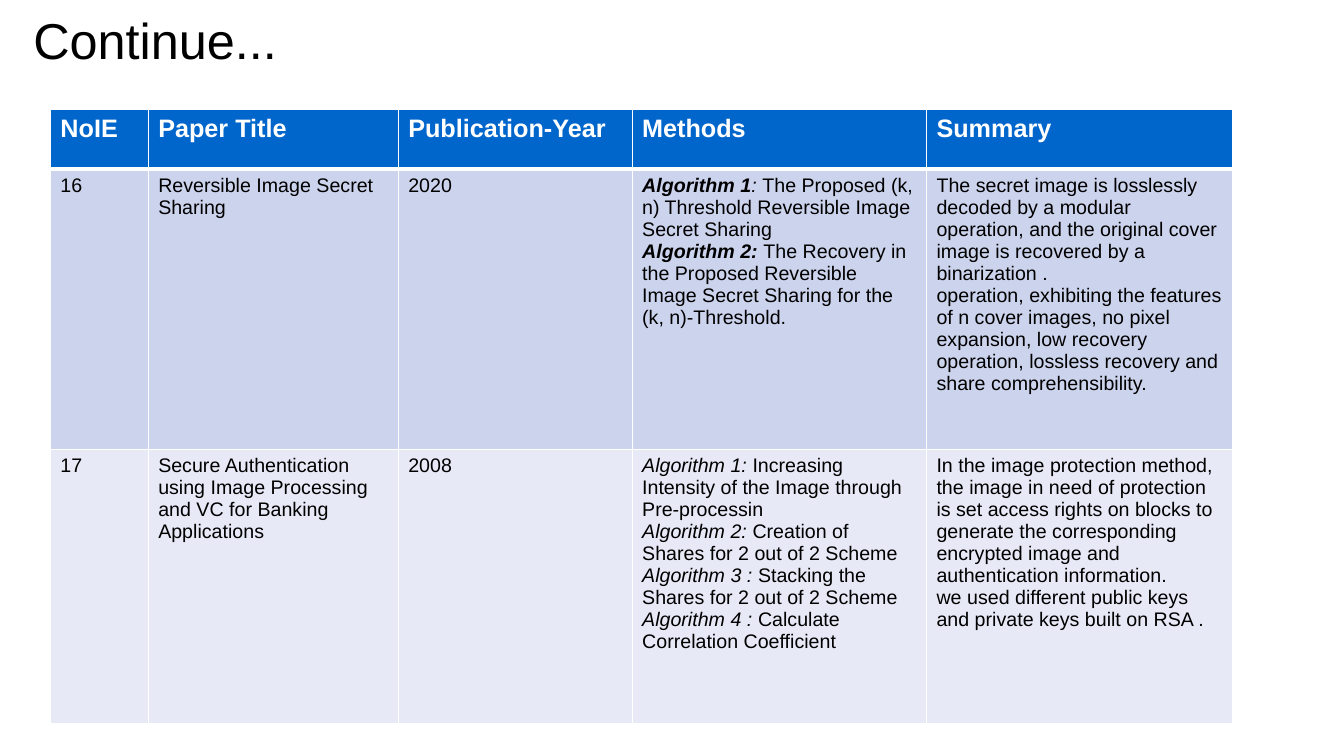
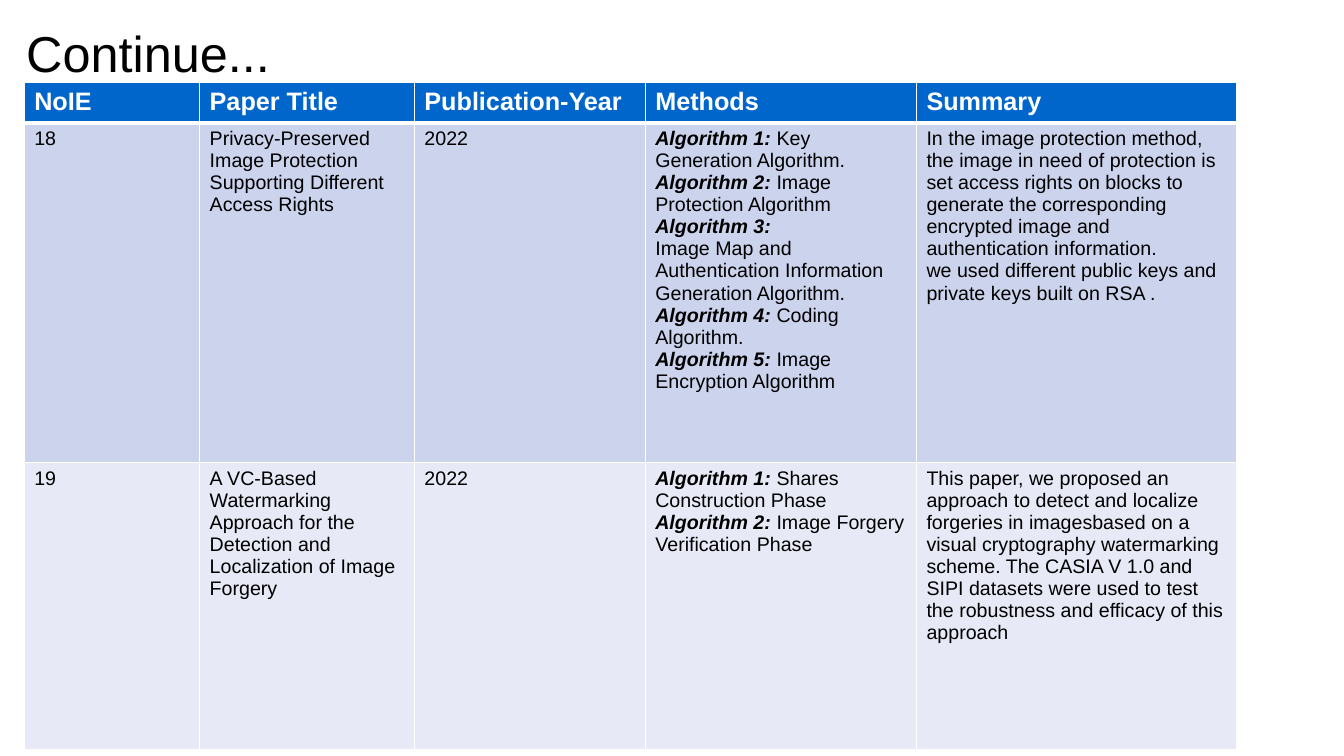
from lxml import etree
from pptx import Presentation
from pptx.dml.color import RGBColor
from pptx.enum.text import MSO_ANCHOR, MSO_AUTO_SIZE, PP_ALIGN
from pptx.oxml.ns import qn
from pptx.util import Inches, Pt

LEFT = PP_ALIGN.LEFT
MIDDLE = MSO_ANCHOR.MIDDLE
NO_FIT = MSO_AUTO_SIZE.NONE
FONT = "Arial"
COLORS = {"head": "0066CC", "odd": "CCD3EC", "even": "E7EAF6", "text": "000000", "white": "FFFFFF"}
BANDS = ["head", "odd", "even"]
HEADS = ["NoIE", "Paper Title", "Publication-Year", "Methods", "Summary"]
BOLD, SLANT = "bi", "i"

RIGHTS = [
    "In the image protection method, the image in need of protection is set access rights on blocks "
    "to generate the corresponding encrypted image and authentication information.",
    "we used different public keys and private keys built on RSA .",
]

SLIDES = [
    {
        "title": (0.23, 0, 10.29, 0.79),
        "place": (0.5, 1.09),
        "cols": [0.97, 2.48, 2.32, 2.92, 3.04],
        "rows": [0.59, 2.78, 2.72],
        "papers": [
            ["16", "Reversible Image Secret Sharing", "2020", [
                [("Algorithm 1", BOLD), (": ", SLANT),
                 ("The Proposed (k, n) Threshold Reversible Image Secret Sharing", "")],
                [("Algorithm 2: ", BOLD),
                 ("The Recovery in the Proposed Reversible Image Secret Sharing for the (k, n)-Threshold.", "")],
            ], [
                "The secret image is losslessly decoded by a modular operation, and the original cover "
                "image is recovered by a binarization .",
                "operation, exhibiting the features of n cover images, no pixel expansion, low recovery "
                "operation, lossless recovery and share comprehensibility.",
            ]],
            ["17", "Secure Authentication using Image Processing and VC for Banking Applications", "2008", [
                [("Algorithm 1: ", SLANT), ("Increasing Intensity of the Image through Pre-processin", "")],
                [("Algorithm 2: ", SLANT), ("Creation of Shares for 2 out of 2 Scheme", "")],
                [("Algorithm 3 : ", SLANT), ("Stacking the Shares for 2 out of 2 Scheme", "")],
                [("Algorithm 4 : ", SLANT), ("Calculate Correlation Coefficient", "")],
            ], RIGHTS],
        ],
    },
    {
        "title": (0.16, 0, 10.29, 1.03),
        "place": (0.24, 0.82),
        "cols": [1.74, 2.13, 2.29, 2.69, 3.18],
        "rows": [0.4, 3.37, 2.85],
        "papers": [
            ["18", "Privacy-Preserved Image Protection Supporting Different Access Rights", "2022", [
                [("Algorithm 1:", BOLD), (" Key Generation Algorithm.", "")],
                [("Algorithm 2: ", BOLD), ("Image Protection Algorithm", "")],
                [("Algorithm 3:", BOLD)],
                "Image Map and Authentication Information Generation Algorithm.",
                [("Algorithm 4:", BOLD), (" Coding Algorithm.", "")],
                [("Algorithm 5: ", BOLD), ("Image Encryption Algorithm", "")],
            ], RIGHTS],
            ["19", "A VC-Based Watermarking Approach for the Detection and Localization of Image Forgery", "2022", [
                [("Algorithm 1: ", BOLD), ("Shares Construction Phase", "")],
                [("Algorithm 2: ", BOLD), ("Image Forgery Verification Phase", "")],
            ], "This paper, we proposed an approach to detect and localize forgeries in imagesbased on a "
               "visual cryptography watermarking scheme. The CASIA V 1.0 and SIPI datasets were used to "
               "test the robustness and efficacy of this approach"],
        ],
    },
]


def write(frame, paras, size, color, bold=False):
    if isinstance(paras, str):
        paras = [paras]
    for n, parts in enumerate(paras):
        para = frame.add_paragraph() if n else frame.paragraphs[0]
        para.alignment = LEFT
        if isinstance(parts, str):
            parts = [(parts, "")]
        for text, style in parts:
            run = para.add_run()
            run.text = text
            font = run.font
            font.name, font.size = FONT, Pt(size)
            font.bold = bold or "b" in style
            font.italic = "i" in style
            font.color.rgb = RGBColor.from_string(COLORS[color])


def style_cell(cell, fill, top, bottom):
    cell.fill.solid()
    cell.fill.fore_color.rgb = RGBColor.from_string(COLORS[fill])
    props = cell._tc.get_or_add_tcPr()
    sides = [("a:lnL", 1), ("a:lnR", 1), ("a:lnT", top), ("a:lnB", bottom)]
    for n, (tag, width) in enumerate(sides):
        line = etree.Element(qn(tag), w=str(Pt(width)))
        solid = etree.SubElement(line, qn("a:solidFill"))
        etree.SubElement(solid, qn("a:srgbClr"), val=COLORS["white"])
        props.insert(n, line)


deck = Presentation()
deck.slide_width, deck.slide_height = Inches(13.33), Inches(7.5)

for page in SLIDES:
    slide = deck.slides.add_slide(deck.slide_layouts[5])
    title = slide.shapes.title
    title.left, title.top, title.width, title.height = map(Inches, page["title"])
    title.text_frame.auto_size = NO_FIT
    title.text_frame.vertical_anchor = MIDDLE
    write(title.text_frame, "Continue...", 36, "text")

    cols, rows = page["cols"], page["rows"]
    left, top = page["place"]
    table = slide.shapes.add_table(len(rows), len(cols), Inches(left), Inches(top),
                                   Inches(sum(cols)), Inches(sum(rows))).table
    for col, width in zip(table.columns, cols):
        col.width = Inches(width)
    for r, (row, height, band, texts) in enumerate(zip(table.rows, rows, BANDS, [HEADS] + page["papers"])):
        row.height = Inches(height)
        head = r == 0
        for cell, text in zip(row.cells, texts):
            style_cell(cell, band, 3 if r == 1 else 1, 3 if head else 1)
            write(cell.text_frame, text, 18 if head else 14, "white" if head else "text", head)

deck.save("out.pptx")
